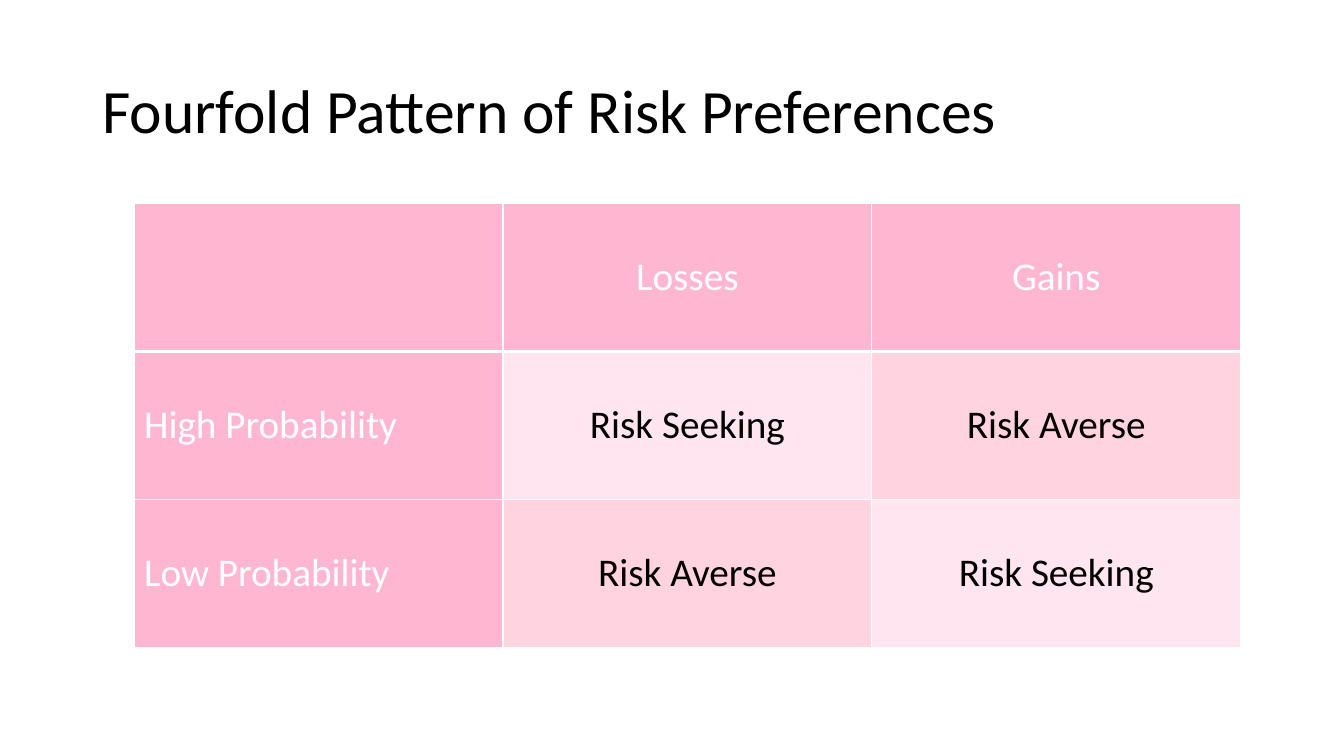
from lxml import etree
from pptx import Presentation
from pptx.dml.color import RGBColor
from pptx.enum import text
from pptx.oxml import ns
from pptx.util import Pt

COLORS = {
    "white": "FFFFFF",
    "black": "000000",
    "head": "FFB7D1",
    "seek": "FFE5EF",
    "averse": "FFD4E0",
}
FONT = "Calibri"
ROWS = [
    ["", "Losses", "Gains"],
    ["High Probability", "Risk Seeking", "Risk Averse"],
    ["Low Probability", "Risk Averse", "Risk Seeking"],
]
FILLS = {"Risk Seeking": "seek", "Risk Averse": "averse"}


def style(par, size, color):
    for run in par.runs:
        run.font.name = FONT
        run.font.size = Pt(size)
        run.font.color.rgb = RGBColor.from_string(COLORS[color])


def add_title(slide, words):
    box = slide.shapes.add_textbox(Pt(66), Pt(28.75), Pt(828), Pt(104.4))
    frame = box.text_frame
    frame.word_wrap = True
    frame.vertical_anchor = text.MSO_ANCHOR.MIDDLE
    frame.text = words
    par = frame.paragraphs[0]
    par.line_spacing = 0.9
    style(par, 44, "black")


def add_edge(cell, side, width):
    props = cell._tc.get_or_add_tcPr()
    line = etree.SubElement(props, ns.qn("a:ln" + side), w=str(Pt(width)))
    fill = etree.SubElement(line, ns.qn("a:solidFill"))
    etree.SubElement(fill, ns.qn("a:srgbClr"), val=COLORS["white"])


def fill_cell(cell, words, row, col):
    for side in "LRTB":
        add_edge(cell, side, 3 if row == 0 and side == "B" else 1)
    label = row == 0 or col == 0
    cell.fill.solid()
    cell.fill.fore_color.rgb = RGBColor.from_string(COLORS[FILLS.get(words, "head")])
    cell.vertical_anchor = text.MSO_ANCHOR.MIDDLE
    cell.text = words
    par = cell.text_frame.paragraphs[0]
    par.alignment = text.PP_ALIGN.CENTER if col else text.PP_ALIGN.LEFT
    style(par, 28, "white" if label else "black")


def add_grid(slide, rows):
    count = len(rows)
    frame = slide.shapes.add_table(
        count, len(rows[0]), Pt(95.75), Pt(145.5), Pt(790.5), Pt(316.8)
    )
    for row, line in enumerate(rows):
        for col, words in enumerate(line):
            fill_cell(frame.table.cell(row, col), words, row, col)


def main():
    deck = Presentation()
    deck.slide_width, deck.slide_height = Pt(960), Pt(540)
    slide = deck.slides.add_slide(deck.slide_layouts[6])
    add_title(slide, "Fourfold Pattern of Risk Preferences")
    add_grid(slide, ROWS)
    deck.save("out.pptx")


if __name__ == "__main__":
    main()
